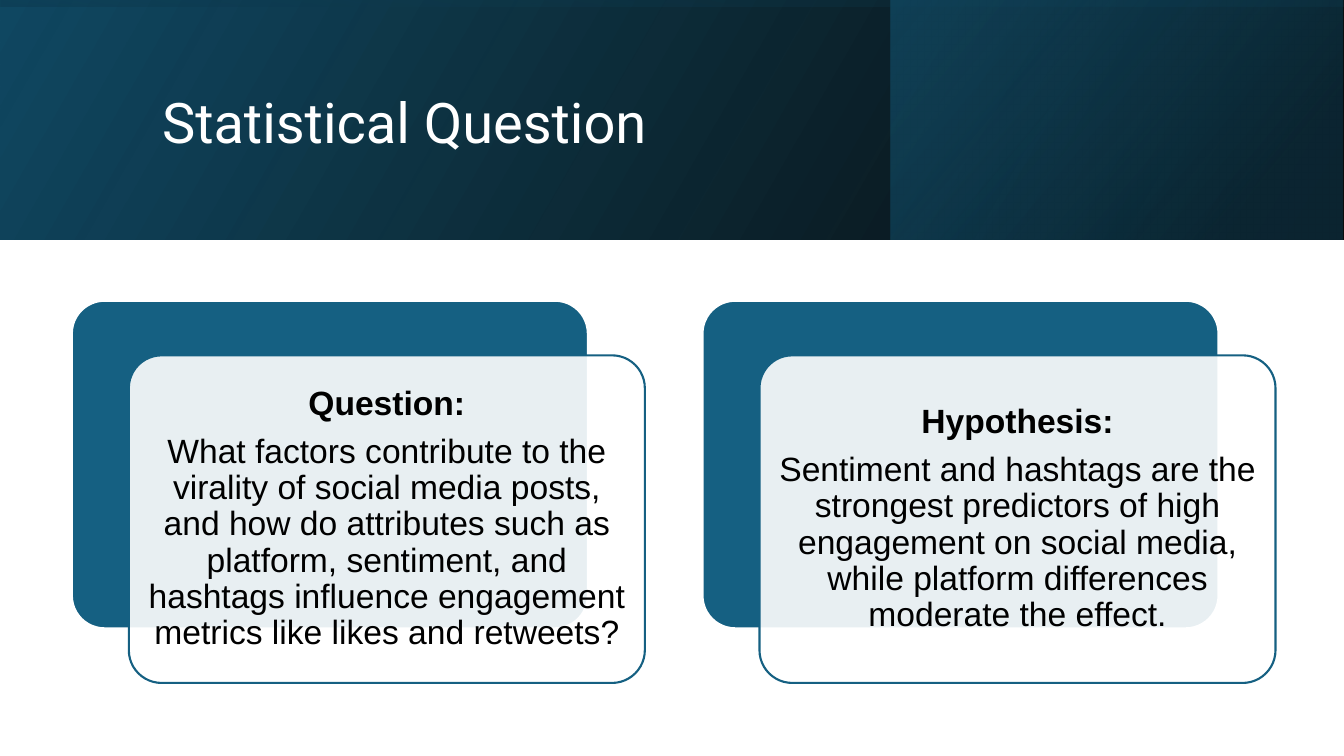
import pptx
import pptx.dml.color
import pptx.enum.shapes
import pptx.enum.text
import pptx.oxml
import pptx.oxml.ns
import pptx.util
from lxml import etree

Pt = pptx.util.Pt
SHAPES = pptx.enum.shapes.MSO_SHAPE
ALIGN = pptx.enum.text.PP_ALIGN
MIDDLE = pptx.enum.text.MSO_ANCHOR.MIDDLE
qn = pptx.oxml.ns.qn


def color(value):
    return pptx.dml.color.RGBColor.from_string(value)


class SlideBuilder:
    blue, white, black = "156082", "FFFFFF", "000000"

    def __init__(self, page):
        self.page = page

    def shape(self, kind, box):
        shape = self.page.shapes.add_shape(kind, *map(Pt, box))
        shape.shadow.inherit = False
        return shape

    def gradient_band(self, box, stops, angle, rotation=0):
        """Mirrored rectangle; stops are (percent, color, opacity percent)."""
        band = self.shape(SHAPES.RECTANGLE, box)
        band.rotation = rotation
        band.line.fill.background()
        properties = band._element.spPr
        properties.find(qn("a:xfrm")).set("flipH", "1")
        band.fill.gradient()
        gradient = properties.find(qn("a:gradFill"))
        for child in list(gradient):
            gradient.remove(child)
        stop_list = etree.SubElement(gradient, qn("a:gsLst"))
        for position, value, opacity in stops:
            stop = etree.SubElement(stop_list, qn("a:gs"), pos=str(position * 1000))
            tint = etree.SubElement(stop, qn("a:srgbClr"), val=value)
            etree.SubElement(tint, qn("a:alpha"), val=str(opacity * 1000))
        etree.SubElement(gradient, qn("a:lin"), ang=str(angle * 60000), scaled="0")

    def rounded_panel(self, box, fill, line, opacity=100):
        panel = self.shape(SHAPES.ROUNDED_RECTANGLE, box)
        panel.adjustments[0] = 0.1
        panel.fill.solid()
        panel.fill.fore_color.rgb = color(fill)
        panel.line.color.rgb = color(line)
        panel.line.width = Pt(1.5)
        if opacity < 100:
            tint = panel._element.spPr.find(qn("a:solidFill")).find(qn("a:srgbClr"))
            etree.SubElement(tint, qn("a:alpha"), val=str(opacity * 1000))

    def text(self, box, paragraphs, para_format):
        """Each paragraph is a (text, font format) pair."""
        frame = self.page.shapes.add_textbox(*map(Pt, box)).text_frame
        frame.word_wrap = True
        frame.vertical_anchor = MIDDLE
        for index, (words, font_format) in enumerate(paragraphs):
            para = frame.add_paragraph() if index else frame.paragraphs[0]
            for name, value in para_format.items():
                setattr(para, name, value)
            span = para.add_run()
            span.text = words
            font_format = dict(font_format)
            span.font.color.rgb = color(font_format.pop("color"))
            for name, value in font_format.items():
                setattr(span.font, name, value)
        return frame

    def card(self, left, top, heading, body):
        width, height = 368.6, 234
        front_left, front_top = left + 40.7, top + 39
        self.rounded_panel((left, top, width, height), self.blue, self.white)
        self.rounded_panel((front_left, front_top, width, height),
                           self.white, self.blue, opacity=90)
        font = {"name": "Arial", "size": Pt(24), "color": self.black}
        inset = 6.9
        frame = self.text(
            (front_left + inset, front_top + inset, width - 2 * inset, height - 2 * inset),
            [(heading, font | {"bold": True}), (body, font | {"bold": False})],
            {"alignment": ALIGN.CENTER, "line_spacing": 0.9, "space_after": Pt(8.4)})
        for side in ("left", "top", "right", "bottom"):
            setattr(frame, "margin_" + side, Pt(7.2))


def main():
    deck = pptx.Presentation()
    deck.slide_width, deck.slide_height = Pt(960), Pt(540)
    builder = SlideBuilder(deck.slides.add_slide(deck.slide_layouts[6]))

    # Header: base, right panel and a quarter-turned overlay
    header = 170.8
    builder.gradient_band((0, 0, 960, header),
                          [(0, "000000", 96), (100, "104862", 100)], 330)
    builder.gradient_band((636.3, 0, 322.9, header),
                          [(19, "0B3041", 68), (100, "156082", 48)], 320)
    builder.gradient_band((394.6, -394.6, header, 960),
                          [(23, "104862", 16), (99, "000000", 45)], 350, rotation=270)

    # Title
    builder.text((108.7, 27.4, 765.4, 123.8),
                 [("Statistical Question",
                   {"name": "Roboto", "size": Pt(40), "color": builder.white})],
                 {"line_spacing": 0.9})

    # Question and hypothesis cards
    cards = [
        ("Question:",
         "What factors contribute to the virality of social media posts, and how do "
         "attributes such as platform, sentiment, and hashtags influence engagement "
         "metrics like likes and retweets?"),
        ("Hypothesis:",
         "Sentiment and hashtags are the strongest predictors of high engagement on "
         "social media, while platform differences moderate the effect."),
    ]
    for column, (heading, body) in enumerate(cards):
        builder.card(51.3 + column * 450.5, 214.8, heading, body)

    deck.save("out.pptx")


if __name__ == "__main__":
    main()
